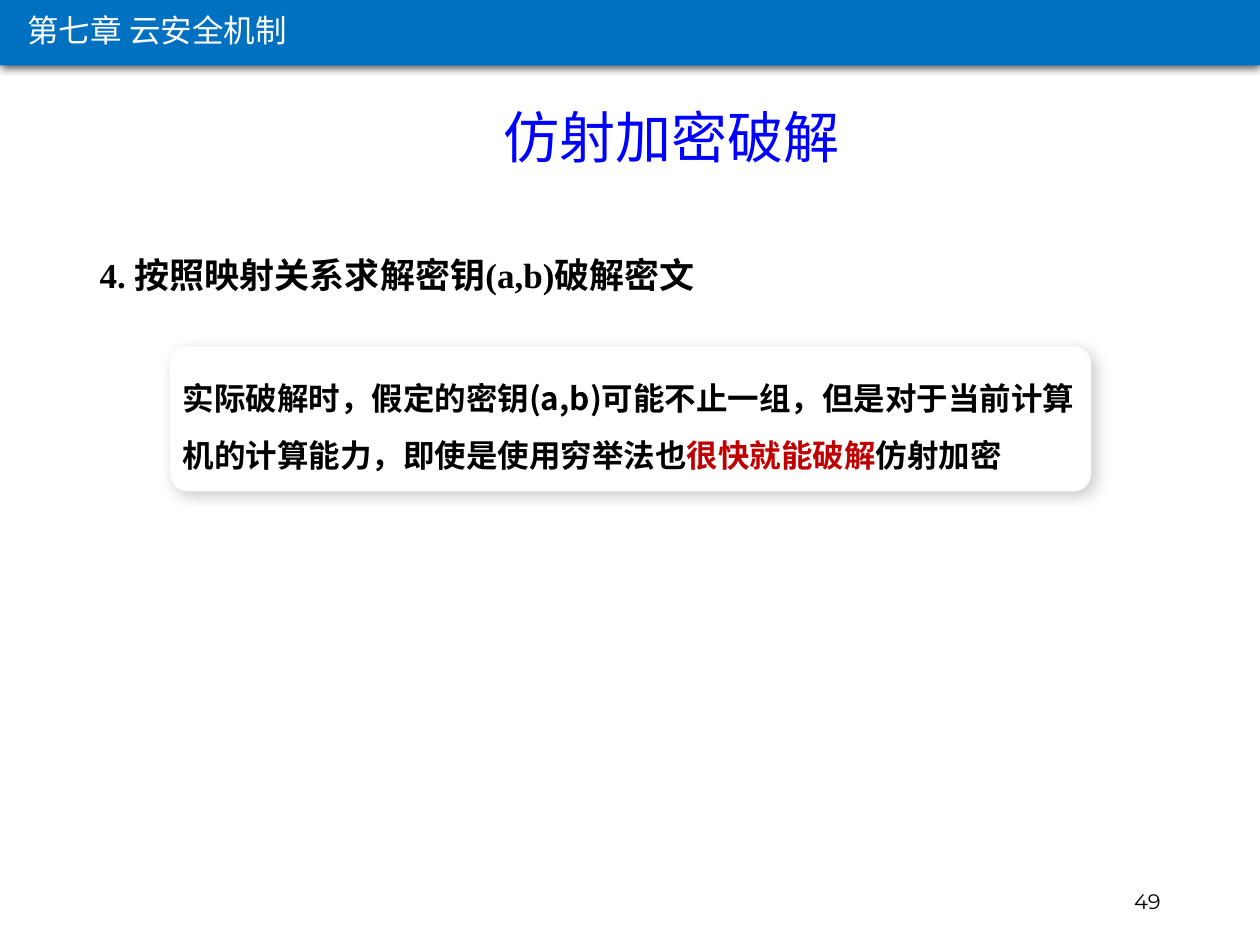
import pptx
import pptx.util
from pptx.dml.color import RGBColor
from pptx.enum.shapes import MSO_SHAPE
from pptx.enum.text import MSO_ANCHOR, MSO_AUTO_SIZE, PP_ALIGN
from pptx.oxml.ns import qn
from lxml import etree

Pt = pptx.util.Pt
CJK, SERIF, SANS = "Noto Sans CJK SC", "Times New Roman", "Montserrat"
BLACK, WHITE, BLUE, RED, BAR = "000000", "FFFFFF", "0000FF", "C00000", "0070C0"

# Content: runs are (text, font, colour)
CHAPTER = [("第七章 云安全机制", CJK, WHITE)]
TITLE = [("仿射加密破解", CJK, BLUE)]
STEP = [
    ("4. ", SERIF, BLACK),
    ("按照映射关系求解密钥", CJK, BLACK),
    ("(a,b)", SERIF, BLACK),
    ("破解密文", CJK, BLACK),
]
NOTE = [
    ("实际破解时，假定的密钥(a,b)可能不止一组，但是对于当前计算机的计算能力，"
     "即使是使用穷举法也", CJK, BLACK),
    ("很快就能破解", CJK, RED),
    ("仿射加密", CJK, BLACK),
]
PAGE = [("49", SANS, BLACK)]


def rgb(value):
    return RGBColor.from_string(value)


def place(sp, left, top, width, height):
    sp.left, sp.top, sp.width, sp.height = map(Pt, (left, top, width, height))


def write(sp, runs, size, bold=False, align=PP_ALIGN.LEFT, spacing=None,
          before=0, wrap=True, anchor=MSO_ANCHOR.TOP):
    tf = sp.text_frame
    tf.auto_size = MSO_AUTO_SIZE.NONE
    tf.word_wrap = wrap
    tf.vertical_anchor = anchor
    p = tf.paragraphs[0]
    p.alignment, p.line_spacing, p.space_before = align, spacing, Pt(before)
    for text, font, color in runs:
        r = p.add_run()
        r.text = text
        r.font.name, r.font.size, r.font.bold = font, Pt(size), bold
        r.font.color.rgb = rgb(color)
        ea = etree.SubElement(r.font._element, qn("a:ea"))
        ea.set("typeface", font)
    return p


def add_box(s, kind, box, fill, line=None, shadow=None):
    sp = s.shapes.add_shape(kind, *map(Pt, box))
    sp.fill.solid()
    sp.fill.fore_color.rgb = rgb(fill)
    if line:
        sp.line.color.rgb = rgb(line)
        sp.line.width = Pt(1)
    else:
        sp.line.fill.background()
    sp.shadow.inherit = False
    if shadow:
        opacity, blur, dist, angle = shadow
        effects = sp._element.spPr.find(qn("a:effectLst"))
        outer = etree.SubElement(
            effects, qn("a:outerShdw"), blurRad=str(Pt(blur)),
            dist=str(Pt(dist)), dir=str(angle * 60000),
            algn="tl" if angle == 45 else "t", rotWithShape="0")
        color = etree.SubElement(outer, qn("a:srgbClr"), val=BLACK)
        etree.SubElement(color, qn("a:alpha"), val=str(opacity * 1000))
    return sp


def add_text(s, box, runs, size, **options):
    write(s.shapes.add_textbox(*map(Pt, box)), runs, size, **options)


prs = pptx.Presentation()
prs.slide_width, prs.slide_height = Pt(720), Pt(540)
s = prs.slides.add_slide(prs.slide_layouts[1])
title, body = s.shapes.title, s.placeholders[1]

# Title and numbered step
place(title, 204, 54.72, 360, 46.08)
write(title, TITLE, 32, align=PP_ALIGN.CENTER)
place(body, 49.68, 144, 620.64, 342.72)
p = write(body, STEP, 20, bold=True, spacing=0.9, before=10)
pPr = p._p.get_or_add_pPr()
pPr.set("marL", "0")
pPr.set("indent", "0")
etree.SubElement(pPr, qn("a:buNone"))

# Page number
add_text(s, (508.32, 500.4, 162, 28.8), PAGE, 12,
         align=PP_ALIGN.RIGHT, anchor=MSO_ANCHOR.MIDDLE)

# Note card
card = add_box(s, MSO_SHAPE.ROUNDED_RECTANGLE, (97.2, 198, 526.32, 82.8),
               WHITE, shadow=(20, 9, 3, 45))
card.adjustments[0] = 0.12
add_text(s, (97.2, 202.32, 526.32, 69.12), NOTE, 18, bold=True, spacing=1.5)

# Chapter bar
add_box(s, MSO_SHAPE.RECTANGLE, (0.72, 0.72, 717.84, 45.36), WHITE, line=WHITE)
add_box(s, MSO_SHAPE.RECTANGLE, (0, -1.44, 720, 38.88), BAR,
        shadow=(63, 4.5, 1.5, 90))
add_text(s, (8.64, 2.88, 163.44, 28.8), CHAPTER, 18, wrap=False)

prs.save("out.pptx")
